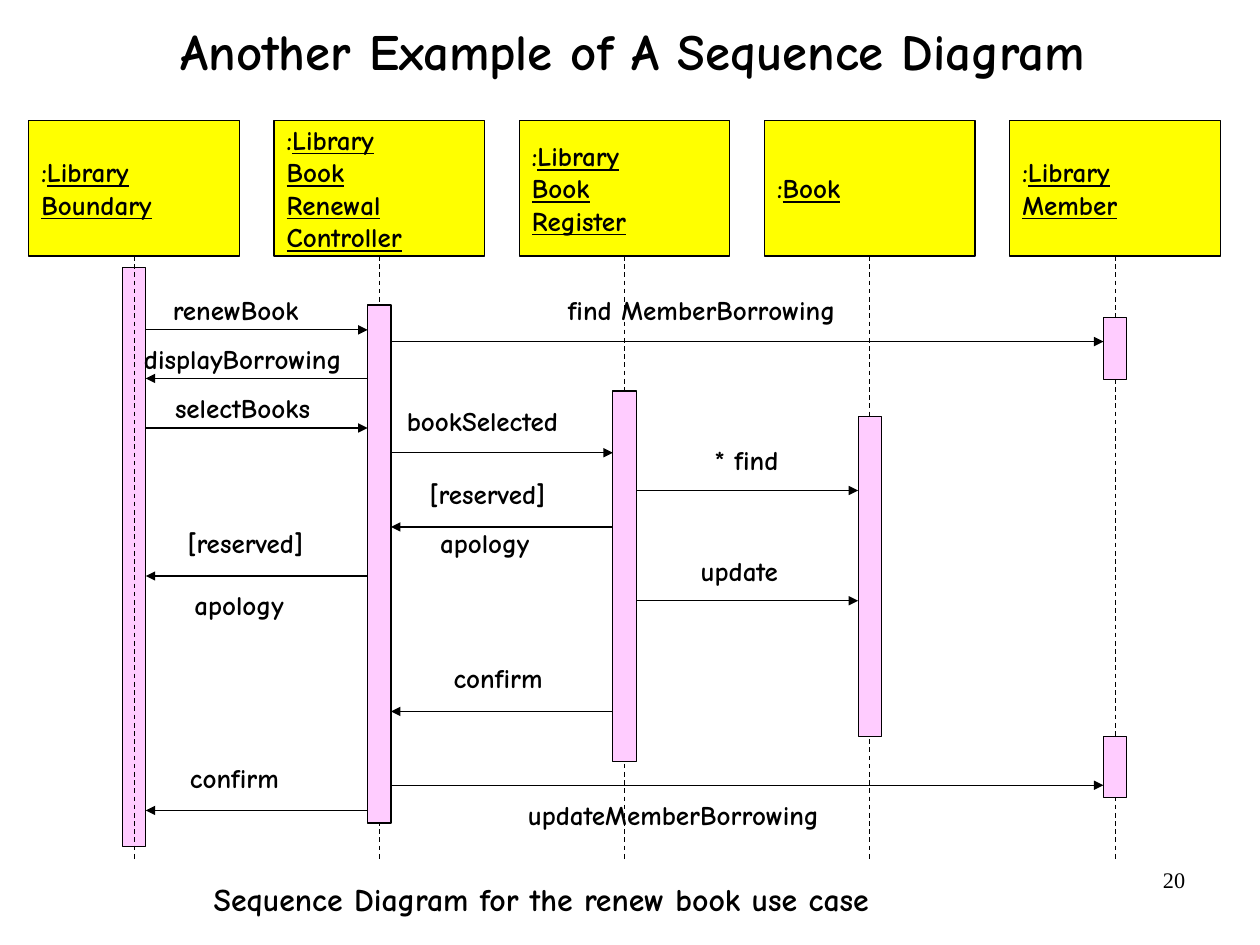
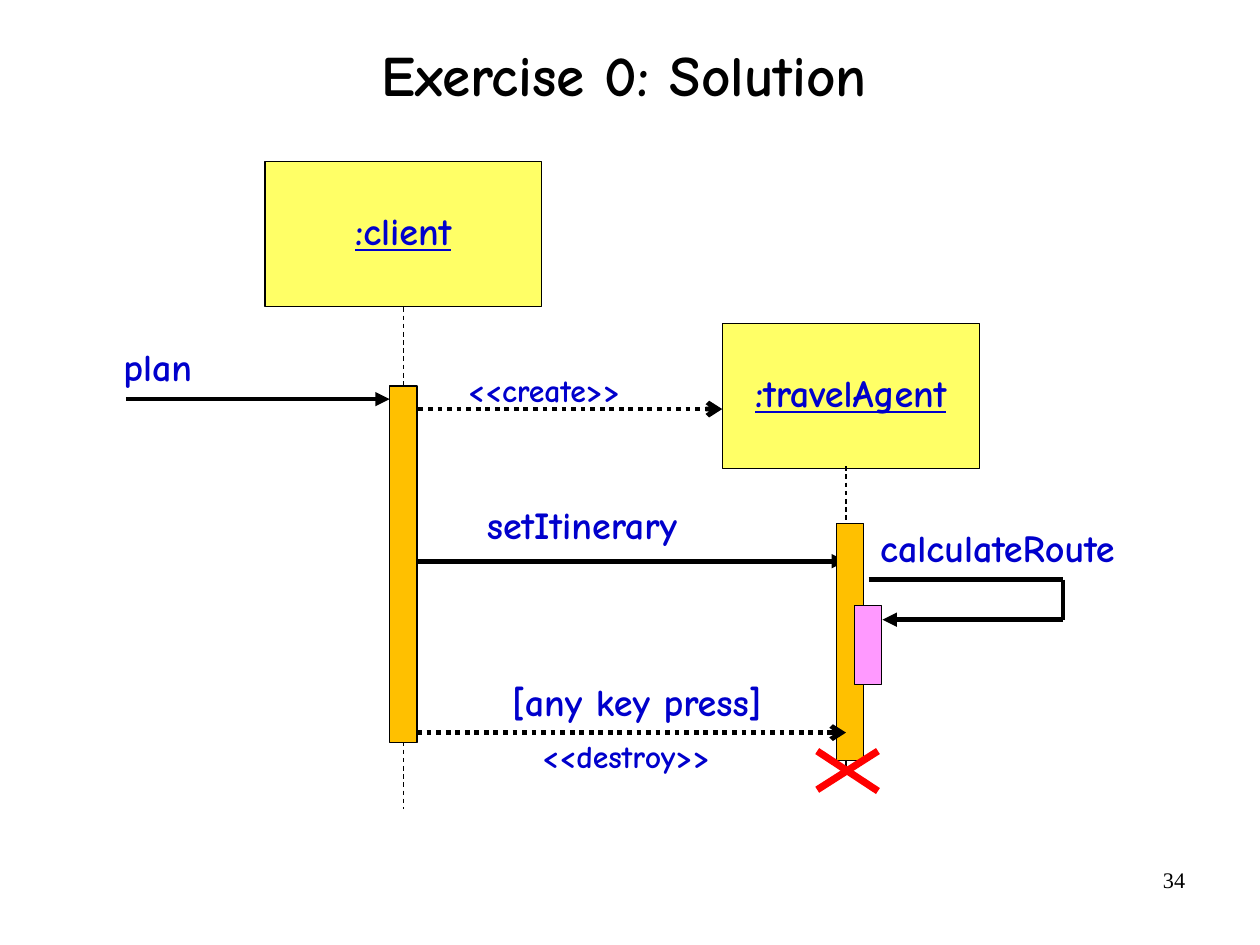
from dataclasses import dataclass

import pptx
import pptx.dml.color
import pptx.enum.dml
import pptx.enum.shapes
import pptx.enum.text
import pptx.oxml
import pptx.oxml.ns
import pptx.util
from pptx.util import Cm

ALIGN = pptx.enum.text.PP_ALIGN
ANCHOR = pptx.enum.text.MSO_ANCHOR
DASH = pptx.enum.dml.MSO_LINE.DASH
DOT = pptx.enum.dml.MSO_LINE.ROUND_DOT


@dataclass(frozen=True)
class Theme:
    font: str = "Comic Neue"
    number_font: str = "Times New Roman"
    ink: str = "000000"
    blue: str = "0000CC"
    red: str = "FF0000"
    yellow: str = "FFFF00"
    pale_yellow: str = "FFFF66"
    pale_pink: str = "FFCCFF"
    pink: str = "FF99FF"
    orange: str = "FFC000"
    thin: float = 0.75
    thick: float = 3
    cross: float = 4.5
    message: int = 17
    caption: int = 20
    large: int = 24
    number: int = 14


THEME = Theme()

# Lengths are centimetres.
RENEWAL = {
    "title": "Another Example of A Sequence Diagram",
    "title_box": (1.02, -0.71, 26.1, 3.78), "title_size": 32, "title_spacing": 0.94,
    "number": "20",
}
OBJECTS = [
    ["Library", "Boundary"],
    ["Library", "Book", "Renewal", "Controller"],
    ["Library", "Book", "Register"],
    ["Book"],
    ["Library", "Member"],
]
# object index, top, bottom
ACTIVATIONS = [
    (0, 5.94, 18.82), (1, 6.78, 18.29), (2, 8.69, 16.92),
    (3, 9.25, 16.36), (4, 7.06, 8.43), (4, 16.36, 17.73),
]
# sender, receiver, height of the arrow, labels as (text, left, top)
MESSAGES = [
    (0, 1, 7.33, [("renewBook", 3.84, 6.53)]),
    (1, 4, 7.59, [("find MemberBorrowing", 12.62, 6.53)]),
    (1, 0, 8.41, [("displayBorrowing", 3.2, 7.62)]),
    (0, 1, 9.51, [("selectBooks", 3.89, 8.71)]),
    (1, 2, 10.06, [("bookSelected", 9.04, 8.99)]),
    (2, 3, 10.9, [("* find", 15.88, 9.86)]),
    (2, 1, 11.71, [("[reserved]", 9.55, 10.62), ("apology", 9.78, 11.71)]),
    (1, 0, 12.8, [("[reserved]", 4.17, 11.71), ("apology", 4.32, 13.08)]),
    (2, 3, 13.35, [("update", 15.57, 12.32)]),
    (2, 1, 15.81, [("confirm", 10.08, 14.71)]),
    (1, 4, 17.45, [("updateMemberBorrowing", 11.73, 17.75)]),
    (1, 0, 18.01, [("confirm", 4.22, 16.92)]),
]
CAPTION = ("Sequence Diagram for the renew book use case", 4.75, 19.56)

HEAD_LEFT, HEAD_TOP, HEAD_WIDTH, HEAD_HEIGHT = 0.64, 2.67, 4.68, 3.02
COLUMN_PITCH = 5.45
LIFELINE_END = 19.1
BAR_WIDTH = 0.52

EXERCISE = {
    "title": "Exercise 0: Solution",
    "title_box": (1.93, 0, 23.88, 3.48), "title_size": 36, "title_spacing": 0.88,
    "number": "34",
}
# text, box, lifeline as (x, top, bottom)
PARTICIPANTS = [
    (":client", (5.89, 3.59, 6.15, 3.23), (8.97, 6.83, 17.98)),
    (":travelAgent", (16.05, 7.19, 5.72, 3.23), (18.8, 10.36, 17.15)),
]
CALLS = [
    ((2.8, 8.87), (8.66, 8.87), None, "triangle"),
    ((9.27, 12.47), (18.8, 12.47), None, "triangle"),
    ((9.3, 9.09), (16.05, 9.09), DOT, "arrow"),
]
BARS = [
    ((8.66, 8.58, 0.61, 7.93), THEME.orange),
    ((18.59, 11.63, 0.61, 5.28), THEME.orange),
    ((18.99, 13.46, 0.61, 1.75), THEME.pink),
]
SELF_CALL = [(19.3, 12.88), (23.62, 12.88), (23.62, 13.77), (19.61, 13.77)]
DESTROY = ((9.27, 16.28), (18.8, 16.28), DOT, "arrow")
CROSS = [((18.16, 16.69), (19.51, 17.58)), ((18.16, 17.55), (19.51, 16.69))]
CALL_LABELS = [
    ("plan", 2.74, 7.82, THEME.large),
    ("setItinerary", 10.82, 11.35, THEME.large),
    ("<<create>>", 10.39, 8.41, THEME.caption),
    ("calculateRoute", 19.56, 11.84, THEME.large),
    ("<<destroy>>", 12.04, 16.54, THEME.caption),
    ("[any key press]", 11.38, 15.27, THEME.large),
]


def rgb(value):
    return pptx.dml.color.RGBColor.from_string(value)


def set_frame(frame, margins=(0, 0), anchor=ANCHOR.TOP):
    frame.word_wrap = True
    frame.auto_size = pptx.enum.text.MSO_AUTO_SIZE.NONE
    frame.vertical_anchor = anchor
    frame.margin_left = frame.margin_right = Cm(margins[0])
    frame.margin_top = frame.margin_bottom = Cm(margins[1])


def style(paragraph, size, color=THEME.ink, align=ALIGN.LEFT, spacing=1.0,
          font=THEME.font, bold=True):
    paragraph.alignment = align
    paragraph.line_spacing = spacing
    paragraph.space_before = pptx.util.Pt(0)
    paragraph.font.name = font
    paragraph.font.size = pptx.util.Pt(size)
    paragraph.font.bold = bold
    paragraph.font.color.rgb = rgb(color)


def add_text(slide, text, box, size, **look):
    area = slide.shapes.add_textbox(*map(Cm, box))
    set_frame(area.text_frame)
    paragraph = area.text_frame.paragraphs[0]
    paragraph.text = text
    style(paragraph, size, **look)


def add_label(slide, text, left, top, size, **look):
    """Add one line of text in a box sized from its length."""
    add_text(slide, text, (left, top, len(text) * size * 0.02, size * 0.042), size, **look)


def add_box(slide, box, fill):
    rectangle = slide.shapes.add_shape(
        pptx.enum.shapes.MSO_SHAPE.RECTANGLE, *map(Cm, box))
    rectangle.shadow.inherit = False
    rectangle.fill.solid()
    rectangle.fill.fore_color.rgb = rgb(fill)
    rectangle.line.color.rgb = rgb(THEME.ink)
    rectangle.line.width = pptx.util.Pt(THEME.thin)
    set_frame(rectangle.text_frame, (0.28, 0.15), ANCHOR.MIDDLE)
    return rectangle.text_frame


def add_line(slide, start, end, width=THEME.thin, dash=None, tip=None, color=THEME.ink):
    connector = slide.shapes.add_connector(
        pptx.enum.shapes.MSO_CONNECTOR.STRAIGHT, *map(Cm, start + end))
    connector.line.color.rgb = rgb(color)
    connector.line.width = pptx.util.Pt(width)
    if dash is not None:
        connector.line.dash_style = dash
    properties = connector._element.spPr
    if tip:
        outline = properties.find(pptx.oxml.ns.qn("a:ln"))
        outline.append(pptx.oxml.parse_xml(
            f'<a:tailEnd {pptx.oxml.ns.nsdecls("a")} type="{tip}"/>'))
    properties.append(pptx.oxml.parse_xml(f'<a:effectLst {pptx.oxml.ns.nsdecls("a")}/>'))


def start_slide(deck, content):
    """Add a slide with its title and page number."""
    slide = deck.slides.add_slide(deck.slide_layouts[5])
    title = slide.shapes.title
    title.left, title.top, title.width, title.height = map(Cm, content["title_box"])
    set_frame(title.text_frame, anchor=ANCHOR.MIDDLE)
    title.text_frame.text = content["title"]
    style(title.text_frame.paragraphs[0], content["title_size"], align=ALIGN.CENTER,
          spacing=content["title_spacing"])
    add_text(slide, content["number"], (20.07, 19.25, 6.27, 1.2), THEME.number,
             align=ALIGN.RIGHT, font=THEME.number_font, bold=False)
    return slide


def column_center(index):
    return HEAD_LEFT + HEAD_WIDTH / 2 + index * COLUMN_PITCH


def add_object_head(slide, index, words):
    frame = add_box(slide, (HEAD_LEFT + index * COLUMN_PITCH, HEAD_TOP,
                            HEAD_WIDTH, HEAD_HEIGHT), THEME.yellow)
    for row, word in enumerate(words):
        paragraph = frame.add_paragraph() if row else frame.paragraphs[0]
        if row == 0:
            paragraph.add_run().text = ":"
        name = paragraph.add_run()
        name.text = word
        name.font.underline = True
        style(paragraph, THEME.message)


def add_activation(slide, index, top, bottom):
    add_box(slide, (column_center(index) - BAR_WIDTH / 2, top, BAR_WIDTH, bottom - top),
            THEME.pale_pink)


def build_renewal(deck):
    slide = start_slide(deck, RENEWAL)
    for index, words in enumerate(OBJECTS):
        add_object_head(slide, index, words)
    # The first lifeline runs over its bar, the others behind theirs.
    add_activation(slide, *ACTIVATIONS[0])
    for index in range(len(OBJECTS)):
        x = column_center(index)
        add_line(slide, (x, HEAD_TOP + HEAD_HEIGHT), (x, LIFELINE_END), dash=DASH)
    for activation in ACTIVATIONS[1:]:
        add_activation(slide, *activation)
    for sender, receiver, y, labels in MESSAGES:
        reach = BAR_WIDTH / 2 if receiver > sender else -BAR_WIDTH / 2
        add_line(slide, (column_center(sender) + reach, y),
                 (column_center(receiver) - reach, y), tip="triangle")
        for label in labels:
            add_label(slide, *label, THEME.message)
    add_label(slide, *CAPTION, THEME.caption)


def build_exercise(deck):
    slide = start_slide(deck, EXERCISE)
    for name, box, (x, top, bottom) in PARTICIPANTS:
        paragraph = add_box(slide, box, THEME.pale_yellow).paragraphs[0]
        paragraph.text = name
        style(paragraph, THEME.large, THEME.blue, ALIGN.CENTER, 0.8)
        paragraph.font.underline = True
        add_line(slide, (x, top), (x, bottom), dash=DASH)
    for start, end, dash, tip in CALLS:
        add_line(slide, start, end, THEME.thick, dash, tip)
    for box, fill in BARS:
        add_box(slide, box, fill)
    for start, end in zip(SELF_CALL, SELF_CALL[1:]):
        add_line(slide, start, end, THEME.thick,
                 tip="triangle" if end == SELF_CALL[-1] else None)
    start, end, dash, tip = DESTROY
    add_line(slide, start, end, THEME.thick, dash, tip)
    for start, end in CROSS:
        add_line(slide, start, end, THEME.cross, color=THEME.red)
    for label in CALL_LABELS:
        add_label(slide, *label, color=THEME.blue, spacing=0.8)


def main():
    deck = pptx.Presentation()
    deck.slide_width, deck.slide_height = Cm(28), Cm(21)
    build_renewal(deck)
    build_exercise(deck)
    deck.save("out.pptx")


if __name__ == "__main__":
    main()
